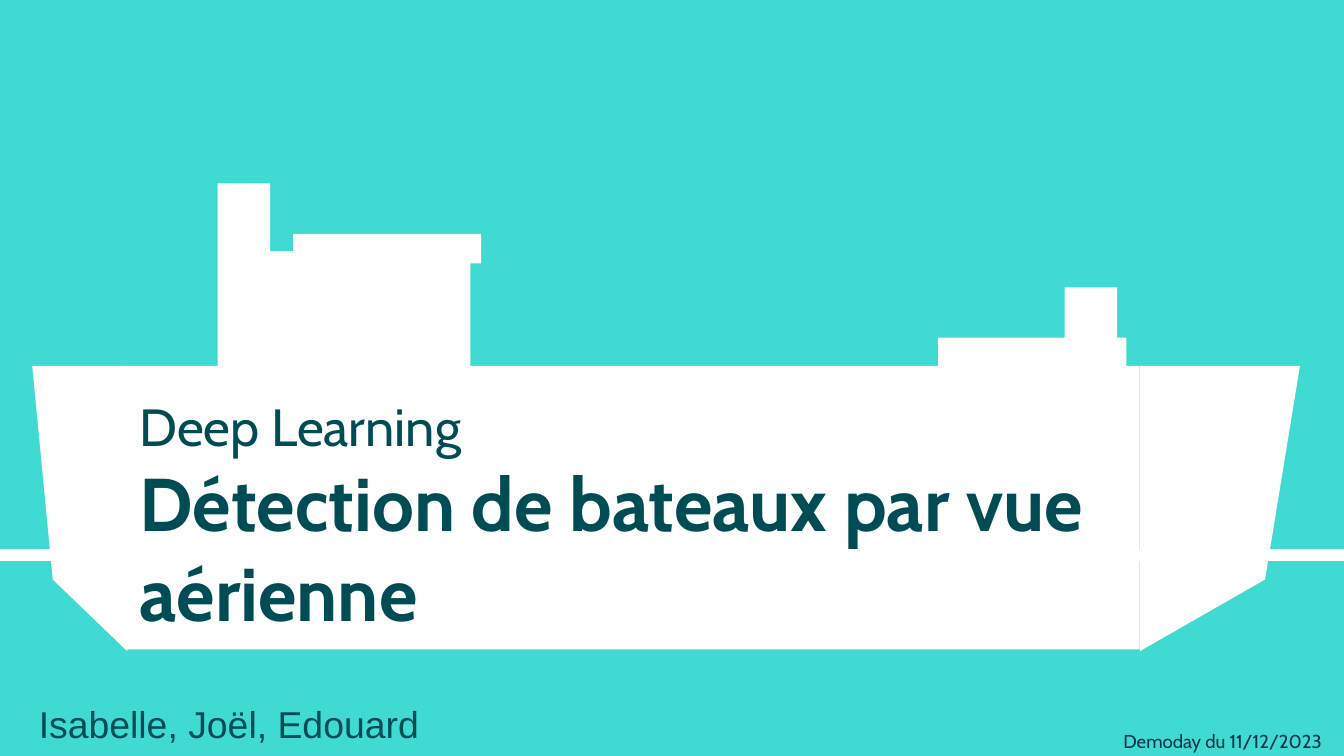
from lxml import etree
from pptx import Presentation
from pptx.dml.color import RGBColor
from pptx.enum import shapes, text
from pptx.oxml.ns import qn
from pptx.util import Pt

COLORS = {"sea": "3FDAD2", "ship": "FFFFFF", "title": "004C54", "date": "0E3449"}
WIDTH, HEIGHT = 720, 405
DECK_Y, KEEL_Y, WATER_Y = 196, 348, 297.4

# Runs: wording, then font values; a line break separates successive runs
TITLE = [
    ("Deep Learning", {"name": "Cabin", "size": Pt(28), "bold": False}, "title"),
    ("Détection de bateaux par vue aérienne",
     {"name": "Cabin", "size": Pt(40), "bold": True}, "title"),
]
DATE = [("Demoday du 11/12/2023", {"name": "Cabin", "size": Pt(10)}, "date")]
AUTHORS = [("Isabelle, Joël, Edouard", {"name": "Arial", "size": Pt(20)}, "title")]

# Left, top, width, height
DATE_BOX = (594.7, 385.2, 142.6, 23.8)
AUTHORS_BOX = (13.7, 372.2, 455, 32)
HULL = (67.7, DECK_Y, 542.9, KEEL_Y - DECK_Y)
SUPERSTRUCTURE = [
    (116.6, 98.3, 28.1, 107.3),    # funnel
    (128.9, 134.6, 123.1, 70.6),   # cabin
    (157, 125.3, 100.8, 15.8),     # cabin roof
    (502.6, 180.9, 100.8, 15.8),   # foredeck
    (570.4, 154, 28.1, 28.8),      # mast
]
HULL_ENDS = [
    [(17.3, DECK_Y), (68.2, DECK_Y), (68.2, 348.9), (28.3, 310.5)],
    [(696.4, DECK_Y), (610.6, DECK_Y), (610.6, 348.9), (677.7, 310.5)],
]


def paint(shape):
    shape.shadow.inherit = False
    shape.fill.solid()
    shape.fill.fore_color.rgb = RGBColor.from_string(COLORS["ship"])
    shape.line.fill.background()
    return shape


def write(shape, runs, anchor, inset):
    frame = shape.text_frame
    formats = {"word_wrap": True, "vertical_anchor": anchor,
               "margin_left": Pt(7.2), "margin_right": Pt(7.2),
               "margin_top": Pt(inset), "margin_bottom": Pt(inset)}
    for name, value in formats.items():
        setattr(frame, name, value)
    paragraph = frame.paragraphs[0]
    paragraph.alignment = text.PP_ALIGN.LEFT
    for index, (wording, font, color) in enumerate(runs):
        if index:
            paragraph.add_line_break()
        run = paragraph.add_run()
        run.text = wording
        for name, value in font.items():
            setattr(run.font, name, value)
        run.font.color.rgb = RGBColor.from_string(COLORS[color])


def add_block(group, box):
    return paint(group.shapes.add_shape(shapes.MSO_SHAPE.RECTANGLE, *map(Pt, box)))


def add_ship(slide):
    ship = slide.shapes.add_group_shape()
    write(add_block(ship, HULL), TITLE, text.MSO_ANCHOR.BOTTOM, 7.2)
    for box in SUPERSTRUCTURE:
        add_block(ship, box)
    for outline in HULL_ENDS:
        start, *others = [(Pt(x), Pt(y)) for x, y in outline]
        builder = ship.shapes.build_freeform(*start)
        builder.add_line_segments(others, close=True)
        paint(builder.convert_to_shape())


def add_waterline(slide):
    line = slide.shapes.add_connector(
        shapes.MSO_CONNECTOR.STRAIGHT, 0, Pt(WATER_Y), Pt(WIDTH), Pt(WATER_Y))
    line.line.width = Pt(6)
    line.line.color.rgb = RGBColor.from_string(COLORS["ship"])
    etree.SubElement(line._element.spPr, qn("a:effectLst"))


def main():
    presentation = Presentation()
    presentation.slide_width, presentation.slide_height = Pt(WIDTH), Pt(HEIGHT)
    slide = presentation.slides.add_slide(presentation.slide_layouts[6])
    slide.background.fill.solid()
    slide.background.fill.fore_color.rgb = RGBColor.from_string(COLORS["sea"])

    for box, runs, anchor, inset in [
        (DATE_BOX, DATE, text.MSO_ANCHOR.BOTTOM, 7.2),
        (AUTHORS_BOX, AUTHORS, text.MSO_ANCHOR.TOP, 3.6),
    ]:
        write(slide.shapes.add_textbox(*map(Pt, box)), runs, anchor, inset)
    add_ship(slide)
    add_waterline(slide)
    presentation.save("out.pptx")


if __name__ == "__main__":
    main()
